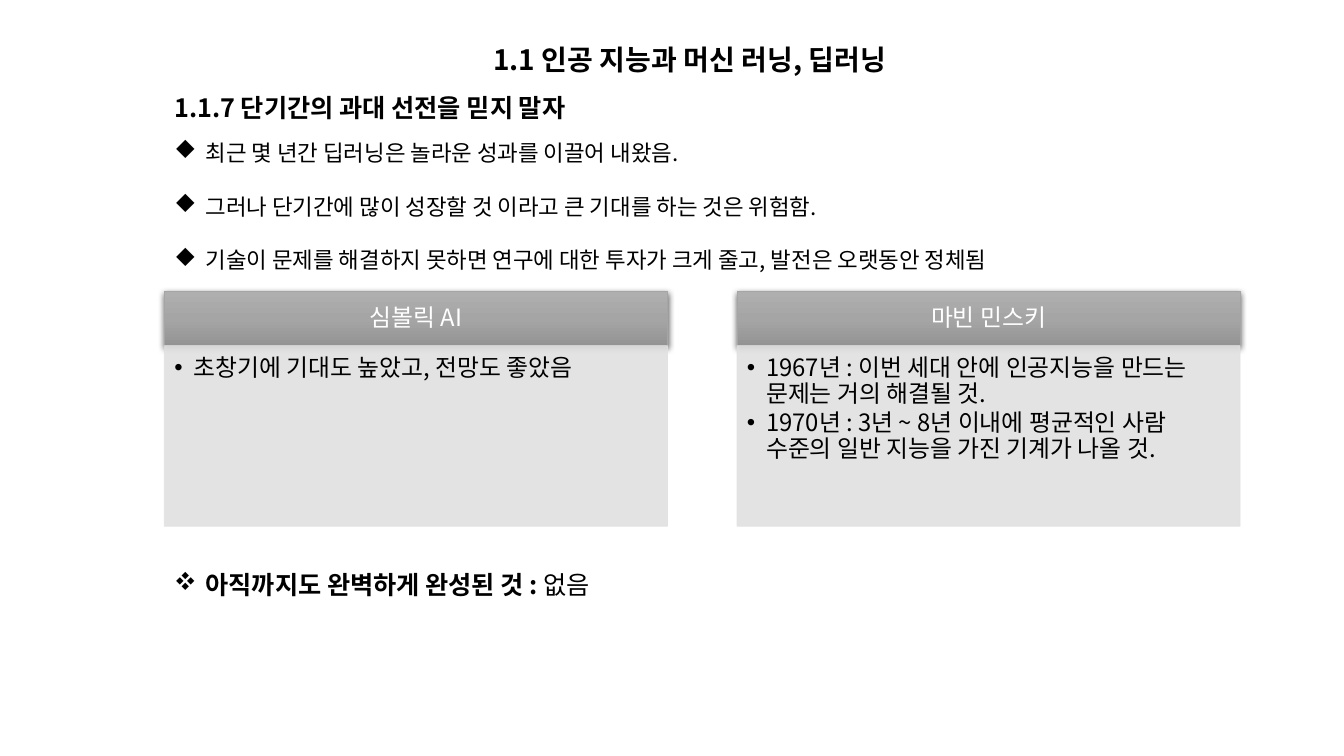
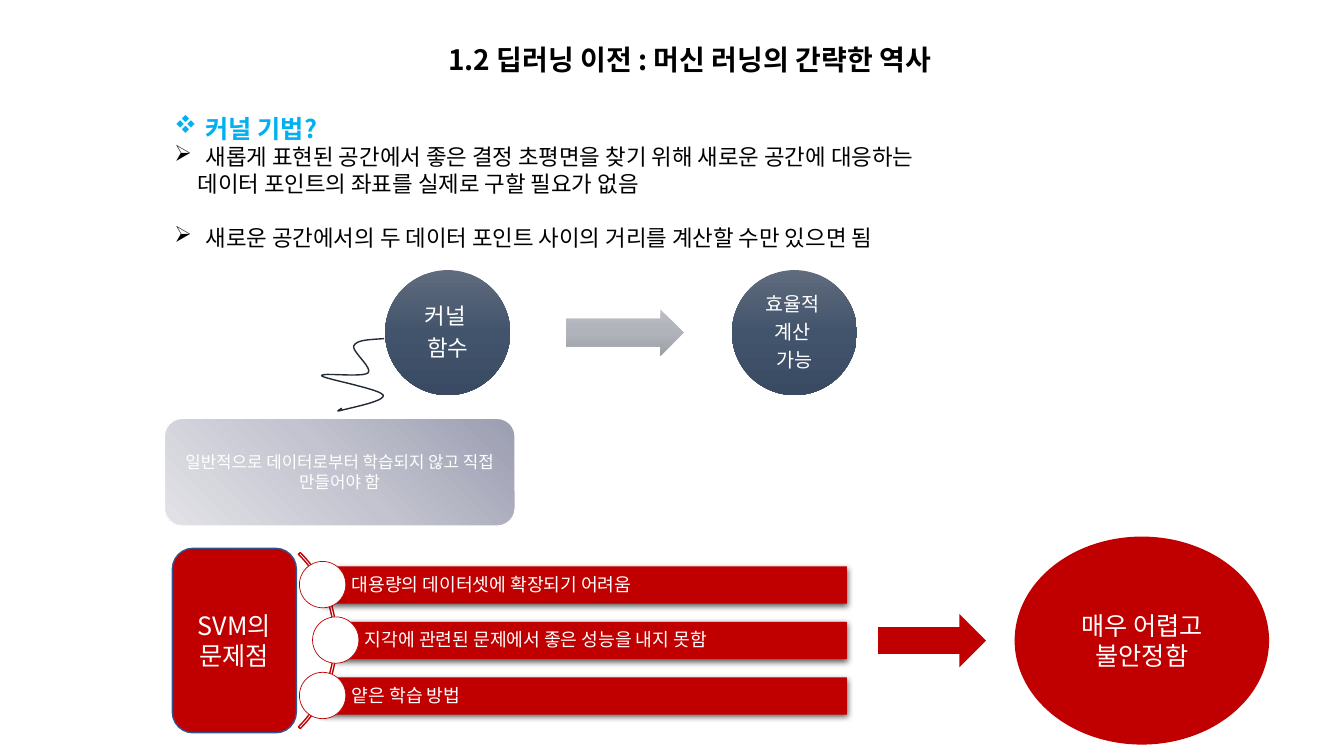
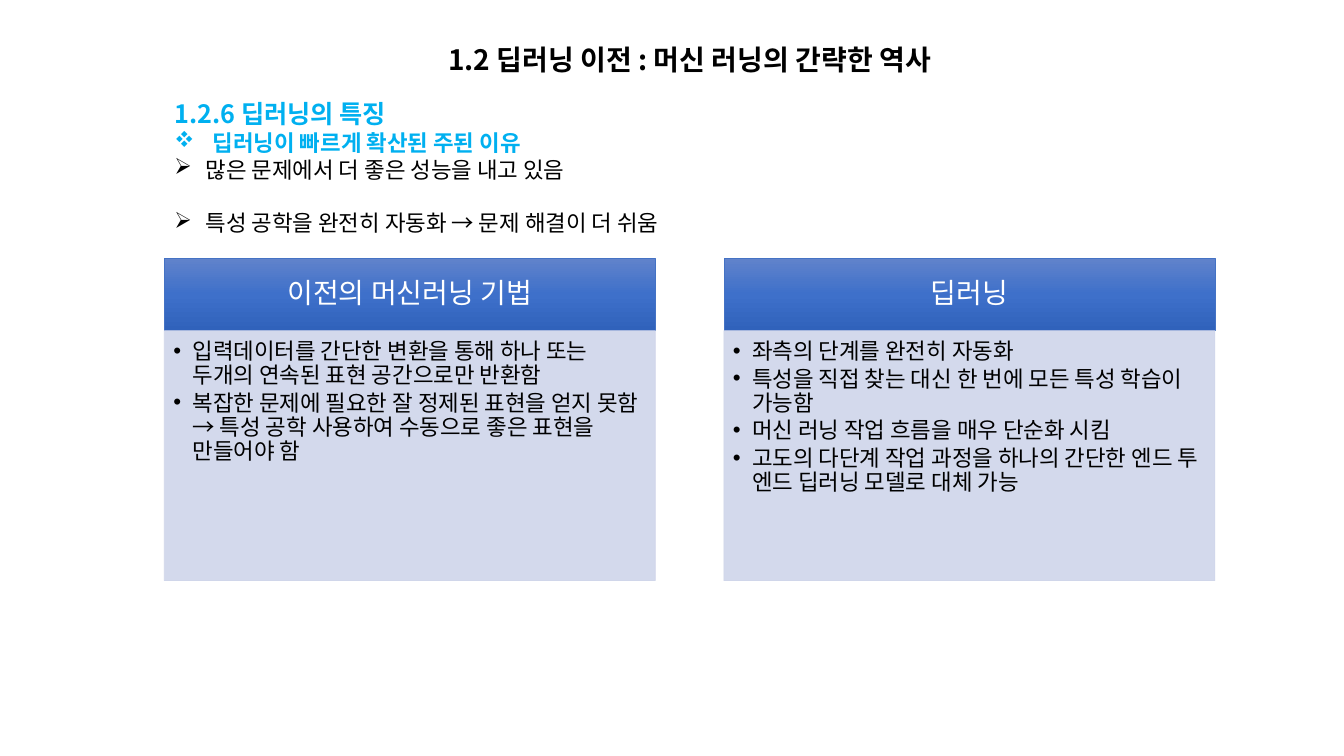
from dataclasses import dataclass
from typing import Any, Optional, Sequence

from pptx import Presentation
from pptx import util as u
from pptx.dml import color as dml
from pptx.enum import shapes, text
from pptx.oxml import ns, parse_xml

FONT = "Noto Sans CJK KR"
BLACK, WHITE, SKY, RED = "000000", "FFFFFF", "00B0F0", "C00000"
LEFT, WIDTH = 1.63, 10.42
LINE_FACTOR = 1.2
DIAMOND, FLOWER, POINTER = ("Wingdings", "u"), ("Wingdings", "v"), ("Wingdings", "Ø")
DOT = ("Arial", "•")
KIND = shapes.MSO_SHAPE
CENTER, START = text.PP_ALIGN.CENTER, text.PP_ALIGN.LEFT
TOP, MIDDLE = text.MSO_ANCHOR.TOP, text.MSO_ANCHOR.MIDDLE
Box = tuple[float, float, float, float]


@dataclass(frozen=True)
class Para:
    words: str
    size: float = 16
    color: str = BLACK
    bold: bool = False
    light_tail: str = ""
    bullet: Optional[tuple[str, str]] = None
    left: float = 0.0
    hang: float = 0.0
    align: Any = START
    tight: float = 1.0
    before: float = 0.0
    after: float = 0.0


@dataclass(frozen=True)
class Look:
    fill: Optional[str] = None
    gradient: tuple[str, ...] = ()
    angle: int = 90
    opacity: int = 100
    line: Optional[str] = None
    weight: float = 0.5
    shadow: bool = False


@dataclass(frozen=True)
class Card:
    heading: str
    points: tuple[str, ...]


@dataclass(frozen=True)
class CardTheme:
    lefts: tuple[float, float]
    top: float
    width: float
    head_height: float
    body_height: float
    head_size: float
    body_size: float
    head_insets: Box
    body_insets: Box
    head: Look
    body: Look


GREY_CARDS = CardTheme(
    (LEFT, 7.31), 2.89, 4.99, 0.54, 1.79, 17, 17,
    (0.13, 0.08, 0.13, 0.08), (0.1, 0.1, 0.13, 0.15),
    Look(gradient=("AFAFAF", "A5A5A5", "939393"), line="A5A5A5", shadow=True),
    Look(fill="E1E1E1", opacity=90, line="E1E1E1"),
)
BLUE_CARDS = CardTheme(
    (LEFT, 7.18), 2.56, 4.87, 0.72, 2.48, 20, 16,
    (0.16, 0.09, 0.16, 0.09), (0.09, 0.09, 0.12, 0.14),
    Look(gradient=("6183CB", "3E70CA", "3062BB"), line="4472C4"),
    Look(fill="CFD5EA", opacity=90, line="CFD5EA"),
)


def rgb(value: str) -> dml.RGBColor:
    return dml.RGBColor.from_string(value)


def element(xml: str) -> Any:
    head, rest = xml.split(" ", 1)
    return parse_xml(f"{head} {ns.nsdecls('a')} {rest}")


def apply(target: Any, values: dict[str, Any]) -> None:
    for name, value in values.items():
        setattr(target, name, value)


def place(item: Any, box: Box) -> None:
    apply(item, dict(zip(("left", "top", "width", "height"), map(u.Inches, box))))


def add_run(paragraph: Any, words: str, para: Para, bold: bool) -> None:
    run = paragraph.add_run()
    run.text = words
    apply(run.font, {"name": FONT, "size": u.Pt(para.size), "bold": bold})
    run.font.color.rgb = rgb(para.color)
    run.font._element.append(element(f'<a:ea typeface="{FONT}"/>'))


def write(frame: Any, paras: Sequence[Para], anchor: Any = TOP,
          insets: Box = (0.1, 0.05, 0.1, 0.05), grow: bool = False) -> None:
    margins = ("margin_left", "margin_top", "margin_right", "margin_bottom")
    fit = text.MSO_AUTO_SIZE.SHAPE_TO_FIT_TEXT if grow else text.MSO_AUTO_SIZE.NONE
    apply(frame, {"word_wrap": True, "auto_size": fit, "vertical_anchor": anchor,
                  **dict(zip(margins, map(u.Inches, insets)))})
    for index, para in enumerate(paras):
        paragraph = frame.add_paragraph() if index else frame.paragraphs[0]
        apply(paragraph, {
            "alignment": para.align,
            "line_spacing": u.Pt(para.size * LINE_FACTOR * para.tight),
            "space_before": u.Pt(para.before),
            "space_after": u.Pt(para.after),
        })
        add_run(paragraph, para.words, para, para.bold)
        if para.light_tail:
            add_run(paragraph, para.light_tail, para, False)
        props = paragraph._p.get_or_add_pPr()
        props.set("marL", str(u.Inches(para.left)))
        props.set("indent", str(-u.Inches(para.hang)))
        if para.bullet:
            font, mark = para.bullet
            props.append(element(f'<a:buFont typeface="{font}"/>'))
            props.append(element(f'<a:buChar char="{mark}"/>'))
        else:
            props.append(element("<a:buNone />"))


def set_opacity(parent: Any, opacity: int) -> None:
    for tint in parent.iter(ns.qn("a:srgbClr")):
        tint.append(element(f'<a:alpha val="{opacity * 1000}"/>'))


def paint(shape: Any, look: Look) -> None:
    props = shape._element.spPr
    shape.shadow.inherit = False
    if look.gradient:
        shape.fill.gradient()
        gradient = props.find(ns.qn("a:gradFill"))
        for child in list(gradient):
            gradient.remove(child)
        step = 100000 // (len(look.gradient) - 1)
        stops = "".join(f'<a:gs pos="{i * step}"><a:srgbClr val="{c}"/></a:gs>'
                        for i, c in enumerate(look.gradient))
        gradient.append(element(f"<a:gsLst >{stops}</a:gsLst>"))
        gradient.append(element(f'<a:lin ang="{look.angle * 60000}" scaled="0"/>'))
    elif look.fill:
        shape.fill.solid()
        shape.fill.fore_color.rgb = rgb(look.fill)
    else:
        shape.fill.background()
    if look.line:
        shape.line.color.rgb = rgb(look.line)
        shape.line.width = u.Pt(look.weight)
    else:
        shape.line.fill.background()
    if look.opacity < 100:
        set_opacity(props, look.opacity)
    if look.shadow:
        props.find(ns.qn("a:effectLst")).append(element(
            f'<a:outerShdw blurRad="{u.Pt(4.5)}" dist="{u.Pt(1.5)}" dir="5400000" rotWithShape="0">'
            f'<a:srgbClr val="{BLACK}"><a:alpha val="63000"/></a:srgbClr></a:outerShdw>'))


def add_shape(slide: Any, kind: Any, box: Box, look: Look, paras: Sequence[Para] = (),
              anchor: Any = MIDDLE, insets: Box = (0.1, 0.05, 0.1, 0.05),
              adjust: Sequence[float] = ()) -> None:
    shape = slide.shapes.add_shape(kind, *map(u.Inches, box))
    for index, value in enumerate(adjust):
        shape.adjustments[index] = value
    paint(shape, look)
    if paras:
        write(shape.text_frame, paras, anchor, insets)


def add_note(slide: Any, box: Box, para: Para) -> None:
    note = slide.shapes.add_textbox(*map(u.Inches, box))
    write(note.text_frame, [para], grow=True)


def start_slide(deck: Any, title: str, body_box: Box, body: Sequence[Para]) -> Any:
    slide = deck.slides.add_slide(deck.slide_layouts[1])
    heading, points = slide.shapes.title, slide.placeholders[1]
    place(heading, (LEFT, 0.37, WIDTH, 0.44))
    write(heading.text_frame, [Para(title, 20, bold=True, align=CENTER)], grow=True)
    place(points, body_box)
    write(points.text_frame, body, grow=True)
    return slide


def bullet(words: str, mark: tuple[str, str], hang: float = 0.31, **extra: Any) -> Para:
    return Para(words, bullet=mark, left=hang, hang=hang, **extra)


def smart_lines(lines: Sequence[str], size: float, align: Any = CENTER) -> list[Para]:
    last = len(lines) - 1
    return [Para(line, size, WHITE, align=align, tight=0.9,
                 after=0 if i == last else size * 0.35) for i, line in enumerate(lines)]


def add_cards(slide: Any, theme: CardTheme, cards: Sequence[Card]) -> None:
    for left, card in zip(theme.lefts, cards):
        add_shape(slide, KIND.RECTANGLE, (left, theme.top, theme.width, theme.head_height),
                  theme.head, smart_lines([card.heading], theme.head_size),
                  insets=theme.head_insets)
        points = [bullet(point, DOT, 0.19, size=theme.body_size, tight=0.9,
                         after=theme.body_size * 0.15) for point in card.points]
        add_shape(slide, KIND.RECTANGLE,
                  (left, theme.top + theme.head_height, theme.width, theme.body_height),
                  theme.body, points, TOP, theme.body_insets)


def add_squiggle(slide: Any, start: tuple[float, float], curves: Sequence[tuple[float, ...]],
                 look: Look, steps: int = 12) -> None:
    points, (x0, y0) = [], start
    for x1, y1, x2, y2, x3, y3 in curves:
        for step in range(1, steps + 1):
            t = step / steps
            a, b, c, d = (1 - t) ** 3, 3 * t * (1 - t) ** 2, 3 * t * t * (1 - t), t ** 3
            points.append((u.Inches(a * x0 + b * x1 + c * x2 + d * x3),
                           u.Inches(a * y0 + b * y1 + c * y2 + d * y3)))
        x0, y0 = x3, y3
    builder = slide.shapes.build_freeform(*map(u.Inches, start))
    builder.add_line_segments(points, close=False)
    paint(builder.convert_to_shape(), look)


def build_hype(deck: Any) -> None:
    slide = start_slide(deck, "1.1 인공 지능과 머신 러닝, 딥러닝", (LEFT, 1.33, WIDTH, 1.45), [
        bullet("최근 몇 년간 딥러닝은 놀라운 성과를 이끌어 내왔음.", DIAMOND),
        bullet("그러나 단기간에 많이 성장할 것 이라고 큰 기대를 하는 것은 위험함.", DIAMOND, before=19.2),
        bullet("기술이 문제를 해결하지 못하면 연구에 대한 투자가 크게 줄고, 발전은 오랫동안 정체됨",
               DIAMOND, before=19.2),
    ])
    add_note(slide, (LEFT, 0.87, WIDTH, 0.4),
             Para("1.1.7 단기간의 과대 선전을 믿지 말자", 18, bold=True))
    add_cards(slide, GREY_CARDS, [
        Card("심볼릭 AI", ("초창기에 기대도 높았고, 전망도 좋았음",)),
        Card("마빈 민스키", (
            "1967년 : 이번 세대 안에 인공지능을 만드는 문제는 거의 해결될 것.",
            "1970년 : 3년 ~ 8년 이내에 평균적인 사람 수준의 일반 지능을 가진 기계가 나올 것.",
        )),
    ])
    add_note(slide, (LEFT, 5.6, 10.67, 0.4),
             bullet("아직까지도 완벽하게 완성된 것 : ", FLOWER, size=18, bold=True, light_tail="없음"))


def build_kernel(deck: Any) -> None:
    slide = start_slide(deck, "1.2 딥러닝 이전 : 머신 러닝의 간략한 역사", (LEFT, 1.07, WIDTH, 1.48), [
        bullet("커널 기법?", FLOWER, size=18, color=SKY, bold=True),
        bullet("새롭게 표현된 공간에서 좋은 결정 초평면을 찾기 위해 새로운 공간에 대응하는", POINTER),
        Para("데이터 포인트의 좌표를 실제로 구할 필요가 없음", left=0.23),
        bullet("새로운 공간에서의 두 데이터 포인트 사이의 거리를 계산할 수만 있으면 됨",
               POINTER, before=19.2),
    ])
    navy = Look(gradient=("606B7D", "42546C", "394A62"))
    for left, lines, size in ((3.82, ("커널 ", "함수"), 16),
                              (7.26, ("효율적 ", "계산 ", "가능"), 14)):
        add_shape(slide, KIND.OVAL, (left, 2.68, 1.24, 1.24), navy,
                  smart_lines(lines, size), insets=(0.02, 0.02, 0.02, 0.02))
    add_shape(slide, KIND.RIGHT_ARROW, (5.61, 3.07, 1.17, 0.46),
              Look(gradient=("BABDC2", "B0B3BA", "9C9FA6")), adjust=(0.6, 0.5))
    add_shape(slide, KIND.ROUNDED_RECTANGLE, (LEFT, 4.15, 3.48, 1.07),
              Look(gradient=("9B9DB1", "C3C4CF", "E2E2E7"), angle=135, line=WHITE, weight=1),
              [Para("일반적으로 데이터로부터 학습되지 않고 직접 만들어야 함", 12, WHITE, align=CENTER)])
    add_squiggle(slide, (3.81, 3.36), [
        (3.67, 3.37, 3.54, 3.37, 3.51, 3.43),
        (3.48, 3.48, 3.7, 3.65, 3.65, 3.7),
        (3.59, 3.75, 3.17, 3.69, 3.19, 3.73),
        (3.22, 3.76, 3.77, 3.86, 3.8, 3.92),
        (3.83, 3.98, 3.46, 4.05, 3.39, 4.07),
        (3.32, 4.09, 3.36, 4.07, 3.39, 4.05),
    ], Look(line="222A35", weight=1))
    add_shape(slide, KIND.ROUNDED_RECTANGLE, (1.71, 5.44, 1.23, 1.83),
              Look(fill=RED, line="325491", weight=1),
              [Para("SVM의 문제점", 18, WHITE, align=CENTER)])
    add_shape(slide, KIND.BLOCK_ARC, (0.87, 5.12, 2.47, 2.47), Look(line=RED, weight=1),
              adjust=(189, 27, 0.01))
    problems = (("대용량의 데이터셋에 확장되기 어려움", 3.2),
                ("지각에 관련된 문제에서 좋은 성능을 내지 못함", 3.33),
                ("얕은 학습 방법", 3.2))
    for row, (problem, left) in enumerate(problems):
        top = 5.62 + row * 0.55
        add_shape(slide, KIND.RECTANGLE, (left, top, 8.4 - left, 0.37),
                  Look(fill=RED, shadow=True), smart_lines([problem], 13, START),
                  insets=(0.29, 0.04, 0.04, 0.04))
        add_shape(slide, KIND.OVAL, (left - 0.23, top - 0.05, 0.46, 0.46),
                  Look(fill=WHITE, line=RED))
    add_shape(slide, KIND.RIGHT_ARROW, (8.71, 6.09, 1.07, 0.53), Look(fill=RED))
    add_shape(slide, KIND.OVAL, (10.07, 5.33, 2.51, 2.05), Look(fill=RED, line=RED, weight=1),
              [Para(line, 18, WHITE, align=CENTER) for line in ("매우 어렵고", "불안정함")])


def build_deep_learning(deck: Any) -> None:
    slide = start_slide(deck, "1.2 딥러닝 이전 : 머신 러닝의 간략한 역사", (LEFT, 0.93, WIDTH, 1.48), [
        Para("1.2.6 딥러닝의 특징", 18, SKY, True),
        bullet("딥러닝이 빠르게 확산된 주된 이유", FLOWER, 0.38, color=SKY, bold=True),
        bullet("많은 문제에서 더 좋은 성능을 내고 있음", POINTER),
        bullet("특성 공학을 완전히 자동화 → 문제 해결이 더 쉬움", POINTER, before=19.2),
    ])
    add_cards(slide, BLUE_CARDS, [
        Card("이전의 머신러닝 기법", (
            "입력데이터를 간단한 변환을 통해 하나 또는 두개의 연속된 표현 공간으로만 반환함",
            "복잡한 문제에 필요한 잘 정제된 표현을 얻지 못함 → 특성 공학 사용하여 수동으로 좋은 표현을 만들어야 함",
        )),
        Card("딥러닝", (
            "좌측의 단계를 완전히 자동화",
            "특성을 직접 찾는 대신 한 번에 모든 특성 학습이 가능함",
            "머신 러닝 작업 흐름을 매우 단순화 시킴",
            "고도의 다단계 작업 과정을 하나의 간단한 엔드 투 엔드 딥러닝 모델로 대체 가능",
        )),
    ])


deck = Presentation()
apply(deck, {"slide_width": u.Inches(13.33), "slide_height": u.Inches(7.5)})
for build in (build_hype, build_kernel, build_deep_learning):
    build(deck)
deck.save("out.pptx")
